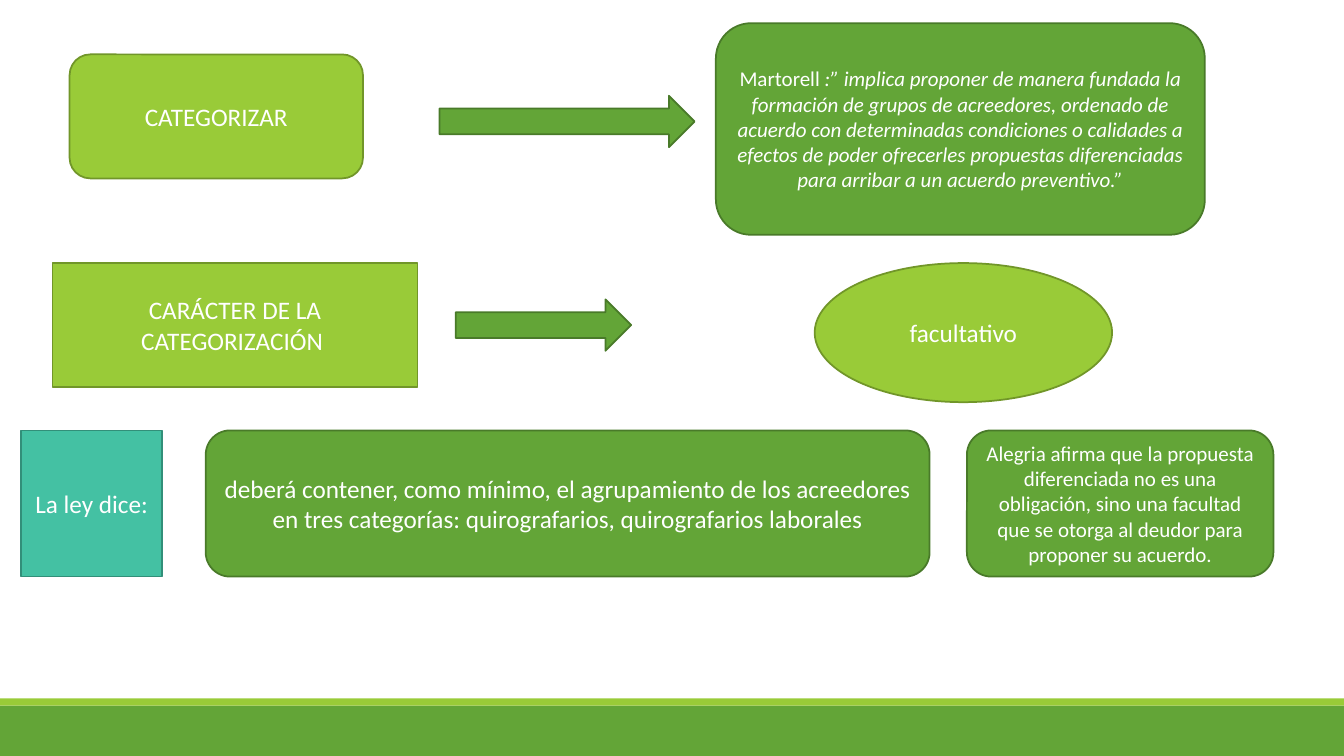
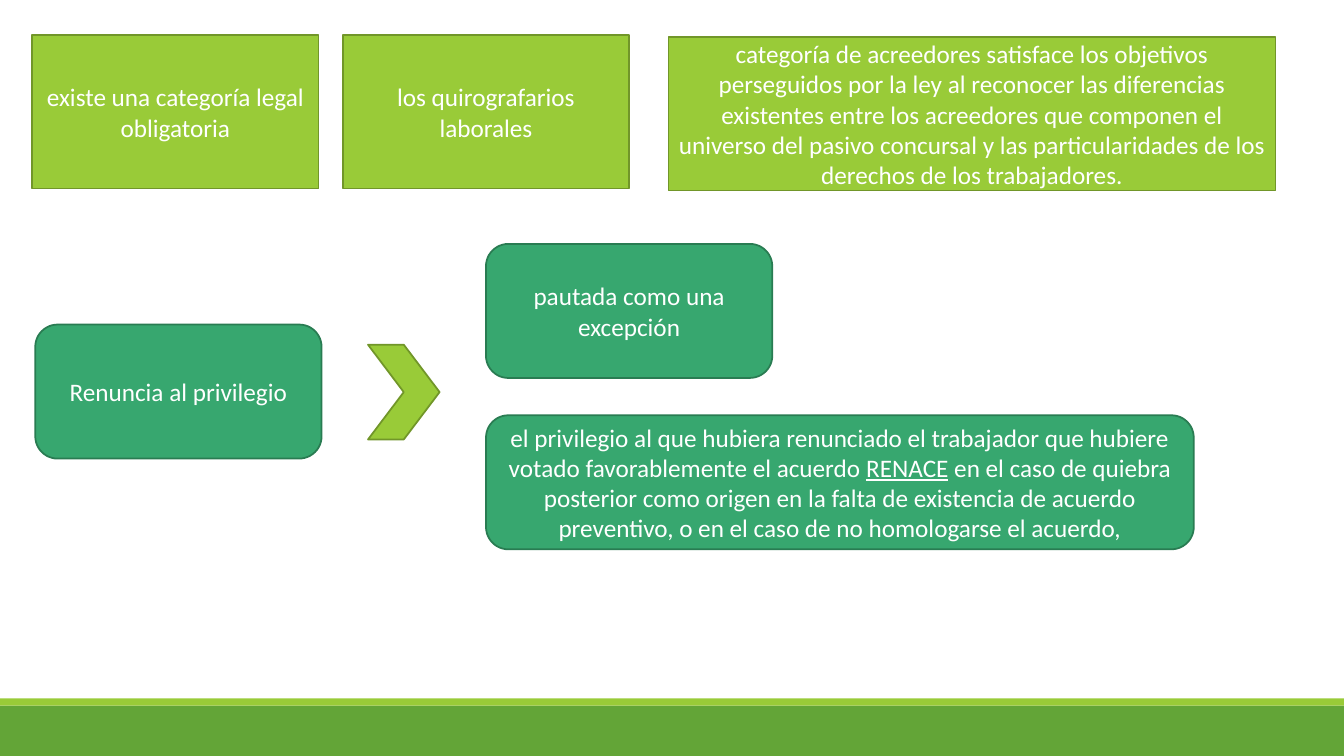
from pptx import Presentation
from pptx.dml.color import RGBColor
from pptx.enum import shapes, text
from pptx.util import Inches, Pt

FONT = "Calibri"
WHITE = RGBColor(0xFF, 0xFF, 0xFF)
LIME = RGBColor(0x99, 0xCB, 0x38)
LIME_EDGE = RGBColor(0x71, 0x96, 0x29)
GREEN = RGBColor(0x63, 0xA5, 0x37)
GREEN_EDGE = RGBColor(0x49, 0x7A, 0x29)
TEAL = RGBColor(0x44, 0xC1, 0xA3)
TEAL_EDGE = RGBColor(0x32, 0x8F, 0x79)
EMERALD = RGBColor(0x37, 0xA7, 0x6F)
EMERALD_EDGE = RGBColor(0x29, 0x7C, 0x52)
EDGES = {LIME: LIME_EDGE, GREEN: GREEN_EDGE, TEAL: TEAL_EDGE, EMERALD: EMERALD_EDGE}

WIDTH, HEIGHT = 13.33, 7.5
KIND = shapes.MSO_SHAPE
BLANK_LAYOUT = 6


def add_filled(slide, kind, place, color):
    """Add a flat preset shape; place is left, top, width, height in inches."""
    shape = slide.shapes.add_shape(kind, *(Inches(length) for length in place))
    shape.shadow.inherit = False
    shape.fill.solid()
    shape.fill.fore_color.rgb = color
    return shape


def add_outlined(slide, kind, place, color):
    shape = add_filled(slide, kind, place, color)
    shape.line.color.rgb = EDGES[color]
    shape.line.width = Pt(1.25)
    return shape


def add_box(slide, kind, place, color, *pieces, size=18):
    """Add a shape with centred text; each piece is a string or (string, font attribute)."""
    frame = add_outlined(slide, kind, place, color).text_frame
    frame.word_wrap = True
    frame.vertical_anchor = text.MSO_ANCHOR.MIDDLE
    paragraph = frame.paragraphs[0]
    paragraph.alignment = text.PP_ALIGN.CENTER
    paragraph.font.name = FONT
    paragraph.font.size = Pt(size)
    paragraph.font.color.rgb = WHITE
    for piece in pieces:
        wording, style = piece if isinstance(piece, tuple) else (piece, None)
        run = paragraph.add_run()
        run.text = wording
        if style:
            setattr(run.font, style, True)


def move_bands_to_master(presentation, slide):
    """Draw the bottom bands once and place them on the slide master."""
    master_tree = presentation.slide_master.shapes.element
    bands = [((0, 7, WIDTH, 0.5), GREEN), ((0, 6.93, WIDTH, 0.07), LIME)]
    for number, (place, color) in enumerate(bands):
        band = add_filled(slide, KIND.RECTANGLE, place, color)
        band.line.fill.background()
        band.element.nvSpPr.cNvPr.set("id", str(100 + number))
        master_tree.insert(2 + number, band.element)


def build_categorization(slide):
    # Definition
    add_box(slide, KIND.ROUNDED_RECTANGLE, (0.69, 0.54, 2.91, 1.23), LIME, "CATEGORIZAR")
    add_outlined(slide, KIND.RIGHT_ARROW, (4.36, 0.95, 2.53, 0.51), GREEN)
    add_box(slide, KIND.ROUNDED_RECTANGLE, (7.1, 0.23, 4.85, 2.1), GREEN,
            "Martorell ",
            (":” implica proponer de manera fundada la formación de grupos de acreedores, "
             "ordenado de acuerdo con determinadas condiciones o calidades a efectos de poder "
             "ofrecerles propuestas diferenciadas para arribar a un acuerdo preventivo.”",
             "italic"),
            size=15)

    # Character
    add_box(slide, KIND.RECTANGLE, (0.52, 2.61, 3.62, 1.23), LIME,
            "CARÁCTER DE LA CATEGORIZACIÓN ")
    add_outlined(slide, KIND.RIGHT_ARROW, (4.52, 2.97, 1.74, 0.51), GREEN)
    add_box(slide, KIND.OVAL, (8.08, 2.61, 2.95, 1.38), LIME, "facultativo")

    # What the law says
    top, height = 4.27, 1.45
    add_box(slide, KIND.RECTANGLE, (0.21, top, 1.4, height), TEAL, "La ley dice:")
    add_box(slide, KIND.ROUNDED_RECTANGLE, (2.04, top, 7.18, height), GREEN,
            "deberá contener, como mínimo, el agrupamiento de los acreedores en tres "
            "categorías: quirografarios, quirografarios laborales")
    add_box(slide, KIND.ROUNDED_RECTANGLE, (9.59, top, 3.04, height), GREEN,
            "Alegria afirma que la propuesta diferenciada no es una obligación, sino una "
            "facultad que se otorga al deudor para proponer su acuerdo.",
            size=15)


def build_privilege(slide):
    box_width = 2.84

    # Mandatory category
    height = 1.52
    add_box(slide, KIND.RECTANGLE, (0.32, 0.35, box_width, height), LIME,
            "existe una categoría legal obligatoria")
    add_box(slide, KIND.RECTANGLE, (3.4, 0.35, box_width, height), LIME,
            "los quirografarios laborales")
    add_box(slide, KIND.RECTANGLE, (6.63, 0.37, 6.02, height), LIME,
            "categoría de acreedores satisface los objetivos perseguidos por la ley al "
            "reconocer las diferencias existentes entre los acreedores que componen el "
            "universo del pasivo concursal y las particularidades de los derechos de los "
            "trabajadores.")

    # Waiver of the privilege
    height, branch_left = 1.33, 4.82
    add_box(slide, KIND.ROUNDED_RECTANGLE, (0.35, 3.22, box_width, height), EMERALD,
            "Renuncia al privilegio")
    add_outlined(slide, KIND.CHEVRON, (3.65, 3.42, 0.71, 0.94), LIME)
    add_box(slide, KIND.ROUNDED_RECTANGLE, (branch_left, 2.42, box_width, height), EMERALD,
            "pautada como una excepción")
    add_box(slide, KIND.ROUNDED_RECTANGLE, (branch_left, 4.12, 7.02, height), EMERALD,
            "el privilegio al que hubiera renunciado el trabajador que hubiere votado "
            "favorablemente el acuerdo ",
            ("RENACE", "underline"),
            " en el caso de quiebra posterior como origen en la falta de existencia de "
            "acuerdo preventivo, o en el caso de no homologarse el acuerdo,")


def main():
    presentation = Presentation()
    presentation.slide_width = Inches(WIDTH)
    presentation.slide_height = Inches(HEIGHT)
    layout = presentation.slide_layouts[BLANK_LAYOUT]
    first, second = (presentation.slides.add_slide(layout) for _ in range(2))
    move_bands_to_master(presentation, first)
    build_categorization(first)
    build_privilege(second)
    presentation.save("out.pptx")


if __name__ == "__main__":
    main()
